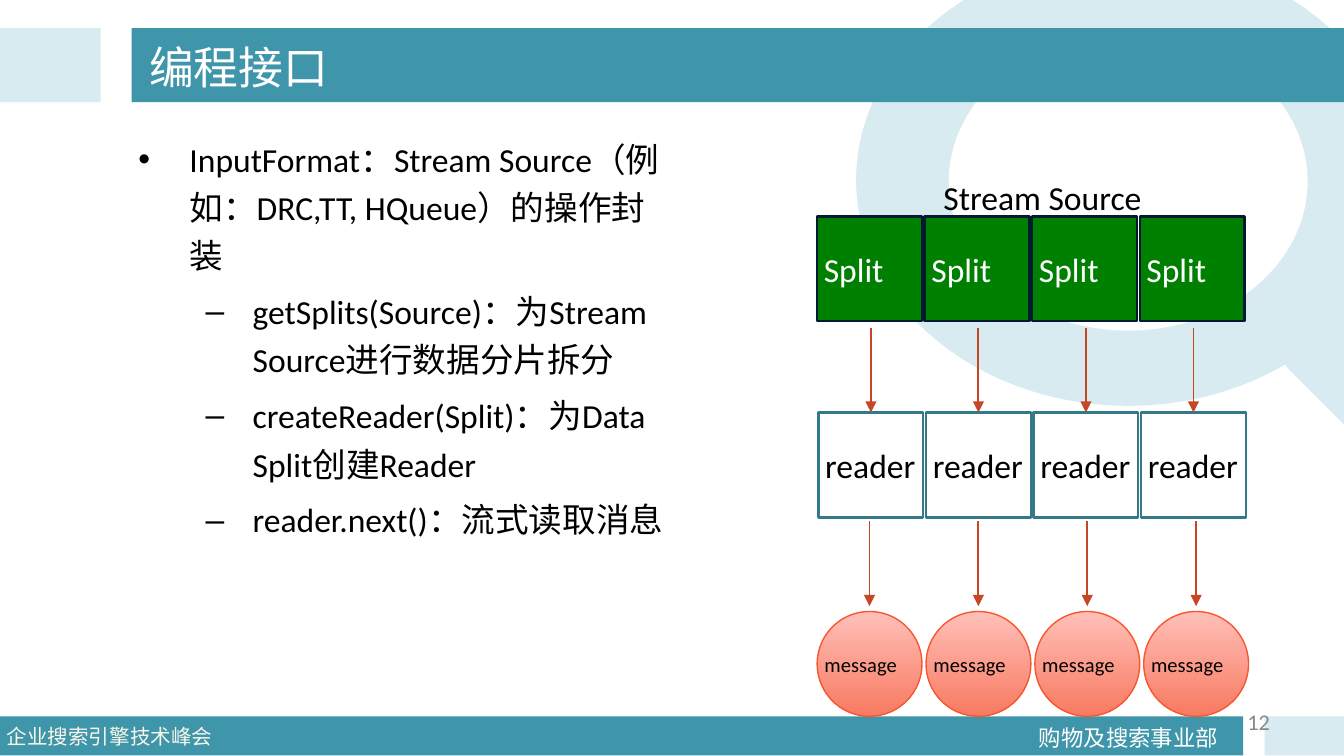
from lxml.etree import SubElement
from pptx import Presentation
from pptx.dml.color import RGBColor
from pptx.enum.shapes import MSO_CONNECTOR, MSO_SHAPE
from pptx.enum.text import MSO_ANCHOR, MSO_AUTO_SIZE, PP_ALIGN
from pptx.oxml.ns import qn
from pptx.util import Inches, Pt

TEAL = RGBColor(0x3F, 0x95, 0xAA)
PALE = RGBColor(0xD7, 0xEB, 0xF0)
WHITE = RGBColor(0xFF, 0xFF, 0xFF)
BLACK = RGBColor(0, 0, 0)
CREAM = RGBColor(0xF9, 0xF7, 0xEA)
GREY = RGBColor(0x88, 0x88, 0x88)
GREEN = RGBColor(0x00, 0x80, 0x00)
NAVY = RGBColor(0x01, 0x1A, 0x2F)
DARK_TEAL = RGBColor(0x33, 0x79, 0x8A)
RUST = RGBColor(0xC6, 0x46, 0x26)
ORANGE = RGBColor(0xF7, 0x57, 0x2F)
PINK = RGBColor(0xFF, 0xBF, 0xB8)
CORAL = RGBColor(0xF8, 0x7A, 0x61)
CJK_FONT = "Noto Sans CJK SC"


def add_block(kind, left, top, width, height, fill, line=None, weight=1.25):
    block = slide.shapes.add_shape(kind, Inches(left), Inches(top), Inches(width), Inches(height))
    block.shadow.inherit = False
    block.fill.solid()
    block.fill.fore_color.rgb = fill
    if line is None:
        block.line.fill.background()
    else:
        block.line.color.rgb = line
        block.line.width = Pt(weight)
    return block


def write(box, text, size, color, font="Calibri", anchor=MSO_ANCHOR.TOP, align=PP_ALIGN.LEFT, spacing=1.0):
    frame = box.text_frame
    frame.text = text
    frame.word_wrap = True
    frame.auto_size = MSO_AUTO_SIZE.NONE
    frame.vertical_anchor = anchor
    frame.margin_left = frame.margin_right = Inches(0.05)
    frame.margin_top = frame.margin_bottom = Inches(0.05)
    for para in frame.paragraphs:
        para.alignment = align
        para.line_spacing = spacing
        for span in para.runs:
            span.font.name = font
            span.font.size = Pt(size)
            span.font.color.rgb = color
            SubElement(span.font._element, qn("a:ea")).set("typeface", CJK_FONT)


# A 16:9 slide
deck = Presentation()
deck.slide_width = Inches(10)
deck.slide_height = deck.slide_width * 9 // 16
slide = deck.slides.add_slide(deck.slide_layouts[1])
title, body = slide.placeholders

# Magnifier in the background
add_block(MSO_SHAPE.OVAL, 6.37, -0.34, 4.05, 3.36, PALE)
add_block(MSO_SHAPE.OVAL, 7.06, 0.24, 2.67, 2.22, WHITE)
handle = add_block(MSO_SHAPE.ROUNDED_RECTANGLE, 9.29, 2.58, 2.1, 0.76, PALE)
handle.adjustments[0] = 0.5
handle.rotation = 45

# Header and footer bands
for left, top, width, height, color in [
    (0, 5.33, 9.25, 0.29, TEAL),
    (9.41, 5.33, 0.59, 0.29, PALE),
    (0, 0.21, 0.75, 0.55, PALE),
    (0.98, 0.21, 9.02, 0.55, TEAL),
]:
    add_block(MSO_SHAPE.RECTANGLE, left, top, width, height, color)

# Footer texts, page number and diagram label
for text, left, top, width, height, size, color, font, anchor, align, spacing in [
    ("购物及搜索事业部", 7.68, 5.3, 1.45, 0.32, 12, WHITE, CJK_FONT, MSO_ANCHOR.TOP, PP_ALIGN.LEFT, 1.2),
    ("企业搜索引擎技术峰会", 0, 5.34, 1.77, 0.28, 11, CREAM, CJK_FONT, MSO_ANCHOR.TOP, PP_ALIGN.LEFT, 1.0),
    ("12", 7.17, 5.22, 2.33, 0.29, 12, GREY, "Calibri", MSO_ANCHOR.MIDDLE, PP_ALIGN.RIGHT, 1.0),
    ("Stream Source", 6.97, 1.27, 1.59, 0.4, 18, BLACK, "Calibri", MSO_ANCHOR.TOP, PP_ALIGN.LEFT, 1.0),
]:
    box = slide.shapes.add_textbox(Inches(left), Inches(top), Inches(width), Inches(height))
    write(box, text, size, color, font, anchor, align, spacing)

# Title, brought in front of its band
title.left, title.top, title.width, title.height = Inches(1.06), Inches(0.07), Inches(8.44), Inches(0.85)
write(title, "编程接口", 24, WHITE, anchor=MSO_ANCHOR.MIDDLE)
slide.shapes._spTree.append(title._element)

# Bulleted list
body.left, body.top, body.width, body.height = Inches(0.98), Inches(0.92), Inches(4.05), Inches(4.17)
items = [
    "InputFormat：Stream Source（例如：DRC,TT, HQueue）的操作封装",
    "getSplits(Source)：为Stream Source进行数据分片拆分",
    "createReader(Split)：为Data Split创建Reader",
    "reader.next()：流式读取消息",
]
write(body, "\n".join(items), 18, BLACK, spacing=1.2)
for index, para in enumerate(body.text_frame.paragraphs):
    para.level = min(index, 1)
    para.space_before = Pt(4 if index else 0)
    margin, hanging, bullet = (0.85, 0.35, "–") if index else (0.38, 0.38, "•")
    properties = para._p.get_or_add_pPr()
    properties.set("marL", str(Inches(margin)))
    properties.set("indent", str(-Inches(hanging)))
    SubElement(properties, qn("a:buFont")).set("typeface", "Arial")
    SubElement(properties, qn("a:buChar")).set("char", bullet)
slide.shapes._spTree.append(body._element)

# Four streams: split, reader, message
SIDE = 0.78
for column in range(4):
    split = add_block(MSO_SHAPE.RECTANGLE, 6.08 + 0.8 * column, 1.61, SIDE, SIDE, GREEN, NAVY)
    write(split, "Split", 18, WHITE, anchor=MSO_ANCHOR.MIDDLE)

    reader = add_block(MSO_SHAPE.RECTANGLE, 6.09 + 0.8 * column, 3.07, SIDE, SIDE, WHITE, DARK_TEAL)
    write(reader, "reader", 18, BLACK, anchor=MSO_ANCHOR.MIDDLE)

    message_left = 6.08 + 0.81 * column
    message = add_block(MSO_SHAPE.OVAL, message_left, 4.55, SIDE, SIDE, CORAL, ORANGE, 0.75)
    message.fill.gradient()
    message.fill.gradient_angle = 270
    for stop, color, position in zip(message.fill.gradient_stops, (PINK, CORAL), (0, 1)):
        stop.color.rgb = color
        stop.position = position
    write(message, "message", 11, BLACK, anchor=MSO_ANCHOR.MIDDLE)
    # The oval's text area is narrow, so the word starts left of it
    message.text_frame.margin_left = Inches(-0.06)
    message.text_frame.margin_right = 0

    center = Inches(message_left + SIDE / 2)
    for start, end in [(2.44, 3.07), (3.88, 4.51)]:
        arrow = slide.shapes.add_connector(
            MSO_CONNECTOR.STRAIGHT, center, Inches(start), center, Inches(end))
        arrow.line.color.rgb = RUST
        arrow.line.width = Pt(1)
        SubElement(arrow.line._get_or_add_ln(), qn("a:tailEnd")).set("type", "triangle")
        SubElement(arrow._element.spPr, qn("a:effectLst"))
        if end == 3.07:
            arrow.end_connect(reader, 0)
            arrow.begin_x = arrow.end_x

deck.save("out.pptx")
